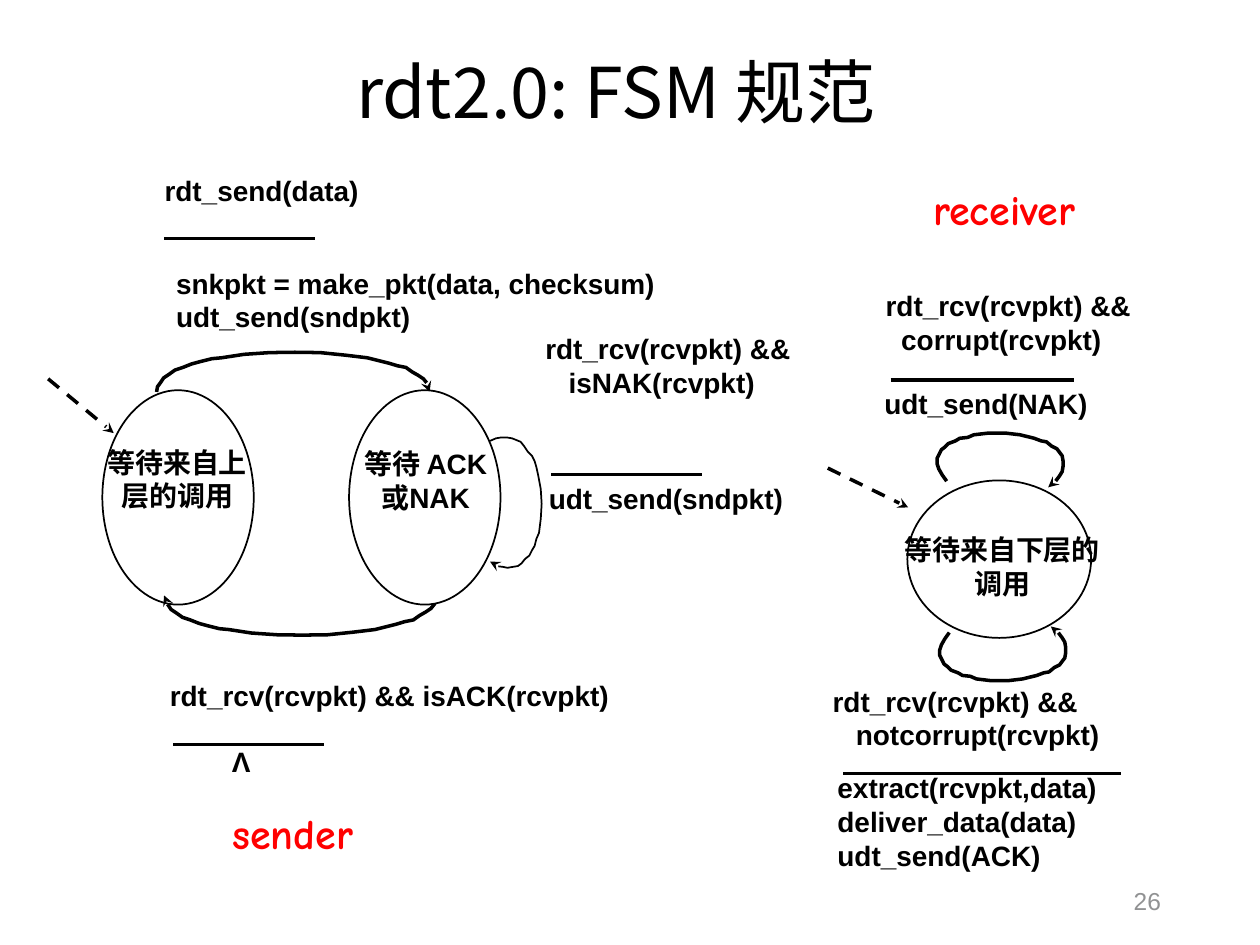
import pptx
import pptx.util
import pptx.dml.color
import pptx.enum.dml
import pptx.enum.shapes
import pptx.enum.text
from pptx.oxml.ns import qn
from lxml import etree

Pt = pptx.util.Pt
ALIGN = pptx.enum.text.PP_ALIGN
ANCHOR = pptx.enum.text.MSO_ANCHOR

THEME = {
    "black": "000000", "white": "FFFFFF", "red": "FF0000", "gray": "919293",
    "east_asian": "Noto Sans CJK SC", "thick": 2, "thin": 1,
    "title": {"name": "Noto Sans CJK SC", "size": Pt(40), "bold": False},
    "label": {"name": "Arial", "size": Pt(16), "bold": True},
    "role": {"name": "Comic Neue", "size": Pt(24), "bold": True},
    "number": {"name": "Arial", "size": Pt(14), "bold": False},
}

TITLE = ("rdt2.0: FSM 规范", (196.5, 19.5, 466.5, 70))
PAGE_NUMBER = ("26", (508.5, 500.5, 162, 28.5))
ROLES = [("receiver", (520, 101.5, 108, 36)), ("sender", (121.5, 458, 91.5, 36))]

# lines of text, box, indent of the last line
LABELS = [
    (["rdt_send(data)"], (87, 95.75, 196, 55), 0),
    (["snkpkt = make_pkt(data, checksum)", "udt_send(sndpkt)"], (93.5, 148.5, 317, 50), 0),
    (["rdt_rcv(rcvpkt) &&", "isNAK(rcvpkt)"], (304.5, 186, 181.5, 80), 13.3),
    (["udt_send(sndpkt)"], (306.5, 271.5, 153.5, 50), 0),
    (["rdt_rcv(rcvpkt) && isACK(rcvpkt)"], (90, 384.5, 308, 36), 0),
    (["Λ"], (125.5, 422, 25, 26.5), 0),
    (["rdt_rcv(rcvpkt) &&", "corrupt(rcvpkt)"], (499, 161.5, 204.5, 29), 8.9),
    (["udt_send(NAK)"], (498.25, 217.5, 194.5, 24), 0),
    (["rdt_rcv(rcvpkt) &&", "notcorrupt(rcvpkt)"], (468.75, 387.5, 229.5, 65.5), 13.3),
    (["extract(rcvpkt,data)", "deliver_data(data)", "udt_send(ACK)"],
     (471.5, 437, 227.5, 57.5), 0),
]

# text, ellipse, text box
WAIT_CALL = ("等待来自上层的调用", (58.5, 223, 86.5, 122.5), (49, 251, 104.5, 58))
WAIT_ACK = ("等待 ACK 或NAK", (199.5, 223, 86.5, 122.5), (196.5, 251.75, 93.5, 58))
WAIT_BELOW = ("等待来自下层的调用", (518.5, 274.5, 105, 90), (509, 300.75, 127.5, 38))

# left, y, width of the rules between event and action
RULES = [(93.75, 136.25, 86), (99, 425.5, 86), (315, 271.25, 86),
         (509, 217.25, 105), (482, 442, 158.5)]
INITIAL_ARROWS = [((27.5, 216.5), (65, 247.5)), ((473, 267.5), (519, 290))]

SEND_ARC = [
    (89.5, 224), (90, 221), (91.5, 219), (93.5, 216), (96.5, 214), (100, 211.5),
    (104.5, 210), (109.5, 208), (115, 206.5), (121, 205), (126.5, 204.5),
    (139.5, 202.5), (154, 201.5), (168.5, 201.3), (183, 201.5), (197.5, 203),
    (210, 204.5), (216, 206), (222, 207.5), (227, 209), (232, 210), (235.5, 212.5),
    (239, 214.5), (242, 216.5), (244, 219), (245.5, 222), (245.5, 224)]
RESEND_LOOP = [
    (280, 252), (283.5, 250.5), (286.5, 250), (289.5, 250), (292.5, 250.5),
    (295, 251.5), (297.5, 252.5), (299.5, 255), (301.5, 258), (304, 260.5),
    (305.5, 263.5), (306.5, 267), (307.5, 271.5), (309, 279.5), (309.5, 288),
    (309, 296.5), (308, 304.5), (306.5, 308), (305.5, 312), (304, 314.5),
    (302.5, 317.5), (300, 319.5), (298, 322), (296, 323.5), (293, 324),
    (290, 324.5), (287.5, 324), (283.5, 323.5), (280, 321)]
CORRUPT_LOOP = [
    (541, 275), (538.5, 271.5), (536.5, 268), (535.5, 265), (535.5, 262),
    (536.5, 260), (538, 257), (540, 255.5), (542, 253.5), (546, 252),
    (548.5, 250.5), (553, 250), (556.5, 248.5), (565, 247.5), (574.5, 247.5),
    (583, 248.5), (591, 250.5), (595, 252), (598, 252.5), (601, 255),
    (604, 256.5), (605.5, 258.5), (607, 260.5), (607.5, 263.5), (607.5, 266.5),
    (607, 269.5), (605.5, 272), (602.5, 276), (599, 278.5)]


def color(name):
    return pptx.dml.color.RGBColor.from_string(THEME[name])


def mirrored(points, shift, height_sum):
    """Flip points top to bottom about height_sum / 2 and move them right."""
    return [(x + shift, height_sum - y) for x, y in points]


def add_text(slide, lines, box, style, ink="black", align=ALIGN.LEFT,
             anchor=ANCHOR.TOP, wrap=True, last_indent=0, spacing=1.0):
    frame = slide.shapes.add_textbox(*map(Pt, box)).text_frame
    frame.word_wrap, frame.vertical_anchor = wrap, anchor
    for index, line in enumerate(lines):
        paragraph = frame.paragraphs[0] if index == 0 else frame.add_paragraph()
        paragraph.alignment, paragraph.line_spacing = align, spacing
        if last_indent and index == len(lines) - 1:
            paragraph._p.get_or_add_pPr().set("marL", str(Pt(last_indent)))
        run = paragraph.add_run()
        run.text = line
        for name, value in THEME[style].items():
            setattr(run.font, name, value)
        run.font.color.rgb = color(ink)
        east_asian = etree.SubElement(run._r.get_or_add_rPr(), qn("a:ea"))
        east_asian.set("typeface", THEME["east_asian"])


def style_line(line, weight, arrow_end=None):
    """arrow_end is headEnd (start of the line), tailEnd (its end) or None."""
    line.color.rgb = color("black")
    line.width = Pt(THEME[weight])
    if arrow_end:
        etree.SubElement(line._get_or_add_ln(), qn("a:" + arrow_end)).set("type", "stealth")


def add_line(slide, start, end, initial=False):
    connector = slide.shapes.add_connector(
        pptx.enum.shapes.MSO_CONNECTOR.STRAIGHT, *map(Pt, start + end))
    if initial:
        connector.line.dash_style = pptx.enum.dml.MSO_LINE.DASH
    style_line(connector.line, "thick", "tailEnd" if initial else None)
    etree.SubElement(connector._element.spPr, qn("a:effectLst"))


def add_curve(slide, points, weight="thick", arrow_end="tailEnd"):
    corners = [(Pt(x), Pt(y)) for x, y in points]
    builder = slide.shapes.build_freeform(*corners[0])
    builder.add_line_segments(corners[1:], close=False)
    shape = builder.convert_to_shape()
    shape.shadow.inherit = False
    shape.fill.background()
    style_line(shape.line, weight, arrow_end)


def add_state(slide, text, ellipse, box):
    shape = slide.shapes.add_shape(pptx.enum.shapes.MSO_SHAPE.OVAL, *map(Pt, ellipse))
    shape.shadow.inherit = False
    shape.fill.solid()
    shape.fill.fore_color.rgb = color("white")
    style_line(shape.line, "thin")
    add_text(slide, [text], box, "label", align=ALIGN.CENTER)


def main():
    presentation = pptx.Presentation()
    presentation.slide_width, presentation.slide_height = Pt(720), Pt(540)
    slide = presentation.slides.add_slide(presentation.slide_layouts[6])

    add_text(slide, [TITLE[0]], TITLE[1], "title", anchor=ANCHOR.MIDDLE, spacing=0.9)
    add_text(slide, [PAGE_NUMBER[0]], PAGE_NUMBER[1], "number", "gray",
             ALIGN.RIGHT, ANCHOR.MIDDLE)
    for text, box in ROLES:
        add_text(slide, [text], box, "role", "red", ALIGN.CENTER, wrap=False)
    for lines, box, indent in LABELS:
        add_text(slide, lines, box, "label", last_indent=indent)

    for left, top, width in RULES:
        add_line(slide, (left, top), (left + width, top))
    add_state(slide, *WAIT_CALL)
    add_state(slide, *WAIT_BELOW)
    add_curve(slide, SEND_ARC)
    add_curve(slide, mirrored(SEND_ARC, 4.25, 564.25), arrow_end="headEnd")
    add_curve(slide, RESEND_LOOP, weight="thin")
    add_curve(slide, CORRUPT_LOOP)
    add_curve(slide, mirrored(CORRUPT_LOOP, 1.5, 636.5))
    add_state(slide, *WAIT_ACK)  # covers the ends of the arcs behind it
    for start, end in INITIAL_ARROWS:
        add_line(slide, start, end, initial=True)
    presentation.save("out.pptx")


if __name__ == "__main__":
    main()
